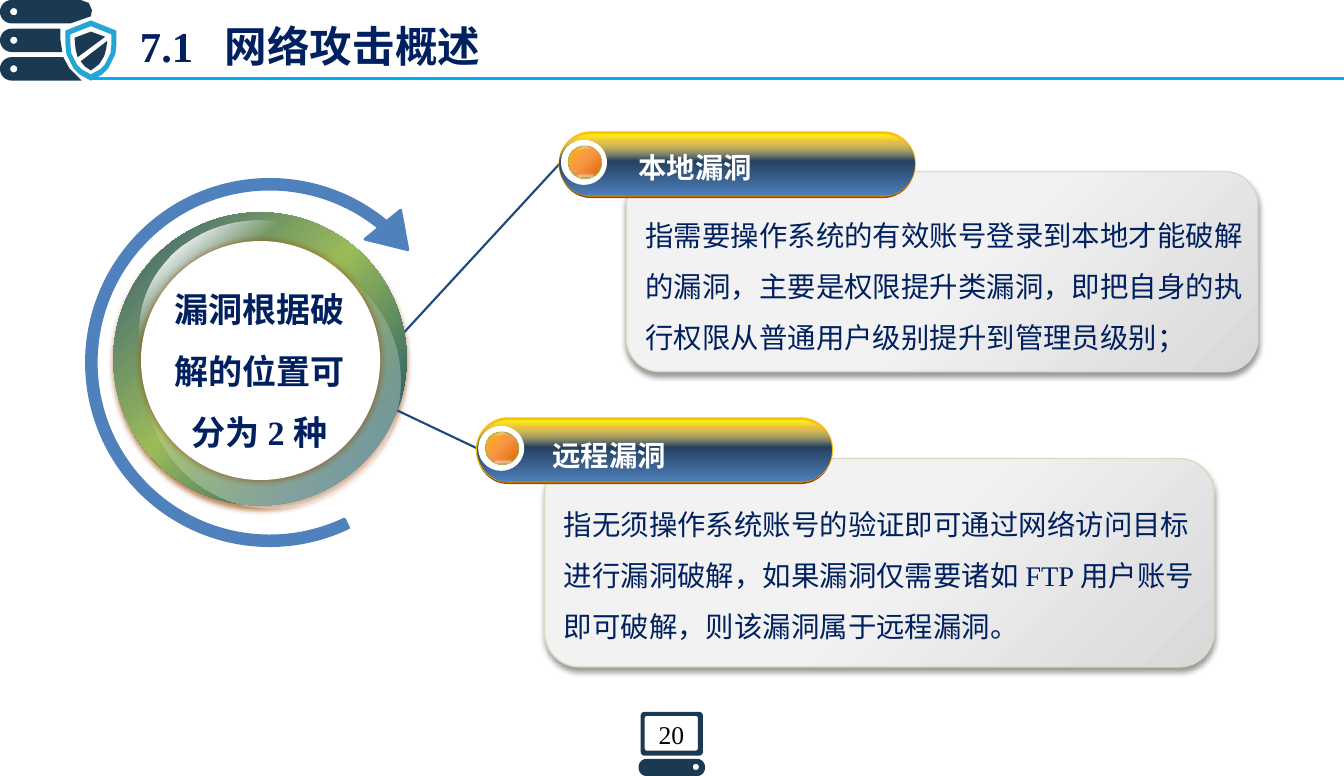
import math
from lxml import etree
from pptx import Presentation
from pptx import util as u
from pptx.dml import color
from pptx.enum import shapes, text
from pptx.oxml import ns

COLORS = {
    "white": "FFFFFF", "black": "000000", "navy": "002060", "icon": "1A3953",
    "shield": "25A4D6", "rule": "00B0F0", "link": "1F497D", "blue": "4F81BD",
    "deep_blue": "254061", "green": "9BBB59", "teal": "215968", "brown": "984807",
    "yellow": "FFFF00", "gold": "FFC000", "red": "FA4006", "orange": "F79646",
    "dark_orange": "E46C0A", "grey": "D9D9D9", "mid_grey": "D7D7D7",
    "pale": "F2F2F2", "sand": "DDD9C3",
}
KIND, ALIGN, ANCHOR = shapes.MSO_SHAPE, text.PP_ALIGN, text.MSO_ANCHOR


def rgb(name):
    return color.RGBColor.from_string(COLORS[name])


def inches(*lengths):
    return [u.Inches(length) for length in lengths]


def add_color(parent, name, alpha=100):
    element = etree.SubElement(parent, ns.qn("a:srgbClr"), val=COLORS[name])
    if alpha < 100:
        etree.SubElement(element, ns.qn("a:alpha"), val=str(alpha * 1000))


def arc(x, y, radius, start, end):
    return [(x + radius * math.cos(math.radians(angle)),
             y + radius * math.sin(math.radians(angle)))
            for angle in range(start, end + 1, 15)]


def rounded(left, top, width, height, radius):
    right, bottom = left + width - radius, top + height - radius
    left, top = left + radius, top + radius
    return (arc(right, bottom, radius, 0, 90) + arc(left, bottom, radius, 90, 180)
            + arc(left, top, radius, 180, 270) + arc(right, top, radius, 270, 360))


def shield(scale):
    half = [(0, -0.28), (0.25, -0.18), (0.25, -0.05), (0.24, 0.05), (0.21, 0.11),
            (0.17, 0.19), (0.11, 0.25), (0, 0.31)]
    whole = half + [(-x, y) for x, y in half[-2:0:-1]]
    return [(0.89 + x * scale, 0.48 + y * scale) for x, y in whole]


def write_text(box, words, size=20, tint="navy", bold=False, align=ALIGN.LEFT,
               spacing=None, anchor=ANCHOR.TOP, margin=None, tab=None):
    frame = box.text_frame
    frame.word_wrap, frame.vertical_anchor = True, anchor
    frame.auto_size = text.MSO_AUTO_SIZE.SHAPE_TO_FIT_TEXT
    if margin is not None:
        frame.auto_size = text.MSO_AUTO_SIZE.NONE
        frame.margin_left = frame.margin_right = u.Inches(margin)
        frame.margin_top = frame.margin_bottom = u.Inches(margin)
    para = frame.paragraphs[0]
    para.alignment, para.line_spacing = align, spacing
    if tab:
        stops = etree.SubElement(para._p.get_or_add_pPr(), ns.qn("a:tabLst"))
        etree.SubElement(stops, ns.qn("a:tab"), pos=str(u.Inches(tab)), algn="l")
    span = para.add_run()
    span.text = words
    span.font.name, span.font.size, span.font.bold = "Times New Roman", u.Pt(size), bold
    span.font.color.rgb = rgb(tint)


class SlideBuilder:
    def __init__(self, page):
        self.page = page

    def finish(self, shape, fill, line=None, shadow=None):
        shape.shadow.inherit = False
        if isinstance(fill, str):
            shape.fill.solid()
            shape.fill.fore_color.rgb = rgb(fill)
        else:
            self.gradient(shape, *fill)
        if line:
            shape.line.color.rgb, shape.line.width = rgb(line[0]), u.Pt(line[1])
        else:
            shape.line.fill.background()
        if shadow:
            name, alpha, blur, distance, angle = shadow
            effects = shape._element.spPr.find(ns.qn("a:effectLst"))
            outer = etree.SubElement(
                effects, ns.qn("a:outerShdw"), blurRad=str(u.Pt(blur)),
                dist=str(u.Pt(distance)), dir=str(angle * 60000), rotWithShape="0")
            add_color(outer, name, alpha)

    def gradient(self, shape, stops, angle, center=()):
        """angle is in degrees, or names a path that needs a center."""
        shape.fill.background()
        properties = shape._element.spPr
        grad = etree.Element(ns.qn("a:gradFill"), rotWithShape="1")
        stop_list = etree.SubElement(grad, ns.qn("a:gsLst"))
        for position, *tint in stops:
            stop = etree.SubElement(stop_list, ns.qn("a:gs"), pos=str(position * 1000))
            add_color(stop, *tint)
        if center:
            route = etree.SubElement(grad, ns.qn("a:path"), path=angle)
            sides = {side: str(share * 1000) for side, share in zip("ltrb", center)}
            etree.SubElement(route, ns.qn("a:fillToRect"), **sides)
        else:
            etree.SubElement(grad, ns.qn("a:lin"), ang=str(angle * 60000), scaled="0")
        properties.replace(properties.find(ns.qn("a:noFill")), grad)

    def shape(self, kind, place, fill, line=None, shadow=None, turn=0, adjust=()):
        shape = self.page.shapes.add_shape(kind, *inches(*place))
        for index, value in enumerate(adjust):
            shape.adjustments[index] = value
        shape.rotation = turn
        self.finish(shape, fill, line, shadow)

    def outline(self, fill, *contours):
        builder = self.page.shapes.build_freeform(*inches(*contours[0][0]))
        for contour in contours:
            points = [inches(*point) for point in contour]
            builder.move_to(*points[0])
            builder.add_line_segments(points[1:], close=True)
        self.finish(builder.convert_to_shape(), fill)

    def line(self, start, end, tint, width):
        line = self.page.shapes.add_connector(
            shapes.MSO_CONNECTOR.STRAIGHT, *inches(*start, *end))
        line.line.color.rgb, line.line.width = rgb(tint), u.Pt(width)
        etree.SubElement(line._element.spPr, ns.qn("a:effectLst"))

    def text(self, place, words, **style):
        write_text(self.page.shapes.add_textbox(*inches(*place)), words, **style)

    def title(self, place, words, **style):
        box = self.page.shapes.title
        box.left, box.top, box.width, box.height = inches(*place)
        write_text(box, words, **style)

    def badge(self, left, top):
        golden = ([(1, "yellow"), (14, "gold"), (93, "yellow"), (98, "gold")], 90)
        glow = ([(6, "red"), (100, "white", 0), (100, "gold", 0)], "rect", (100, 0, 0, 100))
        bluish = ([(0, "blue"), (55, "deep_blue"), (100, "white", 0)], 270)
        for drop, fill, line in ((0.03, "brown", None), (0, golden, None),
                                 (0, glow, ("gold", 2)), (0, bluish, None)):
            self.shape(KIND.ROUNDED_RECTANGLE, (left, top + drop, 3.47, 0.61), fill,
                       line, adjust=[0.5])
        # Glossy orange button
        self.shape(KIND.OVAL, (left + 0.01, top + 0.07, 0.45, 0.44), "white")
        self.shape(KIND.OVAL, (left + 0.08, top + 0.13, 0.33, 0.32), (
            [(0, "gold"), (47, "orange"), (82, "dark_orange")],
            "circle", (0, 0, 100, 100)), line=("green", 0.5), turn=21.1)
        self.shape(KIND.OVAL, (left + 0.15, top + 0.39, 0.2, 0.07), (
            [(0, "white", 55), (50, "mid_grey", 12), (100, "white", 0)],
            "shape", (50, 50, 50, 50)), turn=356.5)
        self.shape(KIND.OVAL, (left + 0.14, top + 0.14, 0.22, 0.21), (
            [(0, "white", 0), (16, "white", 51), (30, "white", 0)], 45), turn=36.3)

    def card(self, *place):
        self.shape(KIND.ROUNDED_RECTANGLE, place, (
            [(0, "grey"), (50, "pale"), (100, "pale")], 225),
            line=("sand", 1), shadow=("black", 40, 4, 3, 90))


def main():
    deck = Presentation()
    deck.slide_width = u.Cm(33.41)
    deck.slide_height = u.Cm(19.3)
    build = SlideBuilder(deck.slides.add_slide(deck.slide_layouts[5]))

    # Header: rule, server rack, shield and title
    build.line((0.88, 0.77), (13.16, 0.77), "rule", 2.25)
    racks = {0.56: [(0.62, 0.56), (0.68, 0.67), (0.8, 0.79)],
             0.28: [(0.59, 0.28), (0.59, 0.38), (0.61, 0.51)],
             0: [(0.79, 0), (0.87, 0.03), (0.9, 0.1), (0.89, 0.16), (0.69, 0.23)]}
    for top, right_edge in racks.items():
        build.outline("icon", right_edge + arc(0.115, top + 0.115, 0.115, 90, 270),
                      rounded(0.1, top + 0.08, 0.07, 0.07, 0.035))
    build.outline("shield", shield(1), shield(0.8))
    build.outline("icon", [(0.89, 0.31), (0.73, 0.37), (0.74, 0.48), (0.76, 0.56),
                           (1.03, 0.36)])
    build.outline("icon", [(0.79, 0.6), (0.83, 0.65), (0.89, 0.69), (0.97, 0.63),
                           (1.02, 0.55), (1.04, 0.48), (1.05, 0.4)])
    build.title((1.27, 0.15, 7.83, 0.61), "7.1\t网络攻击概述", size=30, bold=True, tab=0.83)

    # Footer: computer with the page number
    build.outline("icon", rounded(6.27, 6.97, 0.61, 0.43, 0.04),
                  rounded(6.31, 7.01, 0.52, 0.34, 0.02),
                  rounded(6.25, 7.43, 0.65, 0.17, 0.08),
                  rounded(6.78, 7.48, 0.06, 0.06, 0.03))
    build.text((6.26, 6.99, 0.62, 0.39), "20", size=18, tint="black",
               align=ALIGN.CENTER, anchor=ANCHOR.MIDDLE, margin=0)

    # Ring with the circular arrow
    build.line((3.95, 3.26), (5.48, 1.6), "link", 1.5)
    build.shape(KIND.OVAL, (1.11, 2.08, 2.87, 2.87), (
        [(0, "link"), (47, "green"), (82, "teal")], "circle", (0, 0, 100, 100)),
        shadow=("brown", 68, 4, 3, 90), turn=349.5)
    build.shape(KIND.OVAL, (1.37, 2.16, 2.36, 2.17), (
        [(0, "white", 0), (16, "white", 87), (30, "white", 0)], 45), turn=4.1)
    build.shape(KIND.OVAL, (1.42, 2.48, 2.5, 2.5), (
        [(28, "white", 0), (78, "white", 41), (98, "white", 79)], 90), turn=328.4)
    build.shape(KIND.CIRCULAR_ARROW, (0.67, 1.58, 3.94, 3.94), "blue", line=("blue", 2),
                turn=328.4, adjust=[0.024, 6.841, 204.577, 57.661, 0.057])
    build.shape(KIND.OVAL, (1.38, 2.36, 2.34, 2.34), "white",
                shadow=("brown", 73, 5, 0, 0), turn=328.4)
    build.text((1.5, 2.58, 2.08, 1.85), "漏洞根据破解的位置可分为 2 种", size=24,
               bold=True, align=ALIGN.CENTER, spacing=1.5)

    # Local and remote vulnerabilities
    build.card(6.13, 1.68, 6.18, 1.96)
    build.badge(5.48, 1.3)
    build.line((3.89, 4.02), (4.69, 4.4), "link", 1.5)
    build.card(5.33, 4.49, 6.55, 2.04)
    build.badge(4.67, 4.1)
    build.text((6.15, 1.42, 2.57, 0.44), "本地漏洞", tint="white", bold=True)
    build.text((5.31, 4.24, 2.57, 0.44), "远程漏洞", tint="white", bold=True)
    build.text((6.22, 1.92, 6.2, 1.62), "指需要操作系统的有效账号登录到本地才能破解的漏洞，主要是权限提升类漏洞，"
               "即把自身的执行权限从普通用户级别提升到管理员级别；", spacing=1.5)
    build.text((5.42, 4.75, 6.41, 1.62), "指无须操作系统账号的验证即可通过网络访问目标进行漏洞破解，"
               "如果漏洞仅需要诸如 FTP 用户账号即可破解，则该漏洞属于远程漏洞。", spacing=1.5)
    deck.save("out.pptx")


if __name__ == "__main__":
    main()
